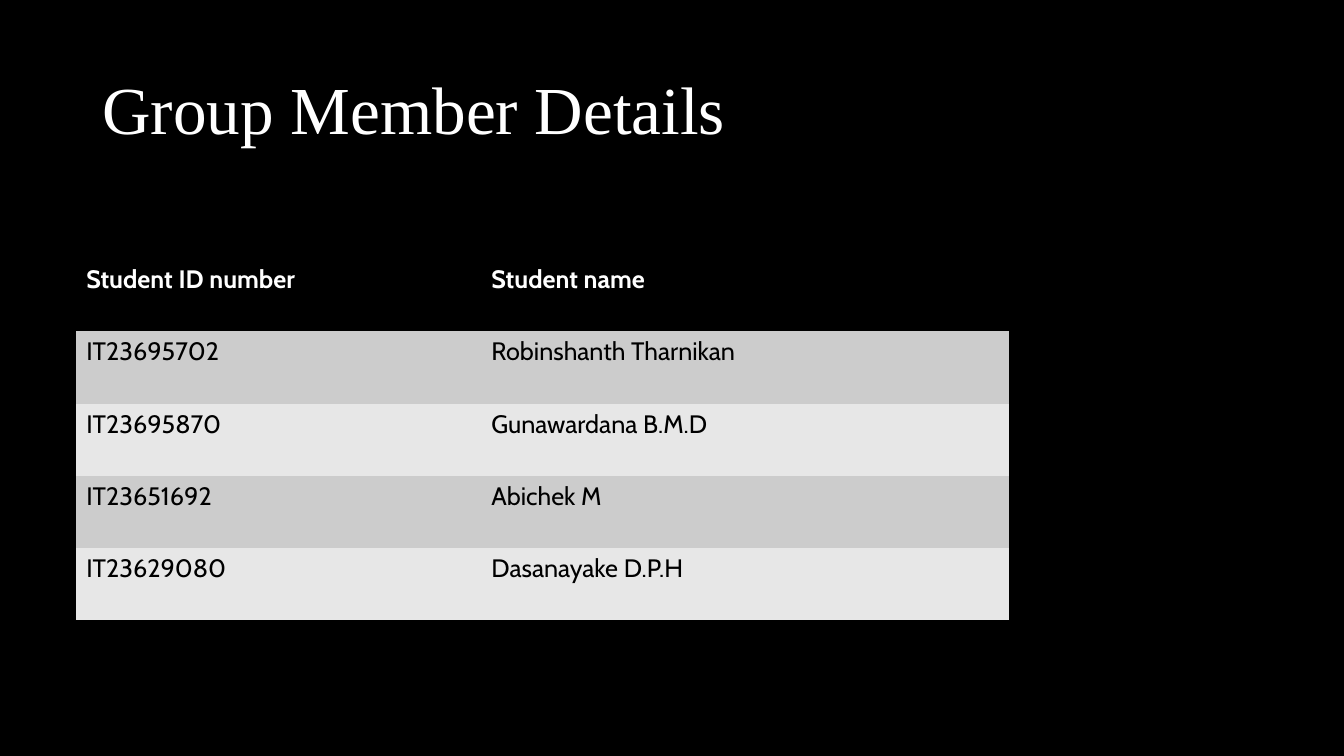
from pptx import Presentation
from pptx import util as u
from pptx.dml.color import RGBColor
from pptx.enum import text

# Content
HEADING = "Group Member Details"
MEMBERS = [
    ("Student ID number", "Student name"),
    ("IT23695702", "Robinshanth Tharnikan"),
    ("IT23695870", "Gunawardana B.M.D"),
    ("IT23651692", "Abichek M"),
    ("IT23629080", "Dasanayake D.P.H"),
]

# Format
COLOURS = {"black": "000000", "white": "FFFFFF", "dark": "CCCCCC", "light": "E7E7E7"}
HEADING_FONT = {"name": "Times New Roman", "size": u.Pt(48), "bold": False}
HEADER_FONT = {"name": "Cabin", "size": u.Pt(18), "bold": True}
MEMBER_FONT = {**HEADER_FONT, "bold": False}
COLUMN_WIDTHS = [u.Cm(10.21), u.Cm(13.31)]
ROW_HEIGHT = u.Cm(1.82)
PLAIN_TABLE_STYLE = "{2D5ABB26-0587-4C30-8999-92F81FD0307C}"


def colour(name):
    return RGBColor.from_string(COLOURS[name])


def write(frame, words, font_values, ink):
    paragraph = frame.paragraphs[0]
    run = paragraph.add_run()
    run.text = words
    for key, value in font_values.items():
        setattr(run.font, key, value)
    run.font.color.rgb = colour(ink)
    return paragraph


def main():
    deck = Presentation()
    deck.slide_width, deck.slide_height = u.Cm(33.87), u.Cm(19.05)
    slide = deck.slides.add_slide(deck.slide_layouts[6])
    slide.background.fill.solid()
    slide.background.fill.fore_color.rgb = colour("black")

    # Heading
    heading = slide.shapes.add_textbox(u.Cm(2.33), u.Cm(1.01), u.Cm(29.21), u.Cm(3.68))
    heading.text_frame.word_wrap = True
    heading.text_frame.vertical_anchor = text.MSO_ANCHOR.MIDDLE
    write(heading.text_frame, HEADING, HEADING_FONT, "white").line_spacing = 0.9

    # Member table
    members_frame = slide.shapes.add_table(
        len(MEMBERS), len(COLUMN_WIDTHS), u.Cm(1.92), u.Cm(6.53),
        sum(COLUMN_WIDTHS), ROW_HEIGHT * len(MEMBERS))
    members = members_frame.table
    members._tbl.tblPr.find("{*}tableStyleId").text = PLAIN_TABLE_STYLE
    for column, width in zip(members.columns, COLUMN_WIDTHS):
        column.width = width

    # Header row, then alternating bands
    for r, entry in enumerate(MEMBERS):
        members.rows[r].height = ROW_HEIGHT
        if r == 0:
            band, ink, font_values = "black", "white", HEADER_FONT
        else:
            band, ink, font_values = ("dark" if r % 2 else "light"), "black", MEMBER_FONT
        for c, words in enumerate(entry):
            cell = members.cell(r, c)
            cell.fill.solid()
            cell.fill.fore_color.rgb = colour(band)
            write(cell.text_frame, words, font_values, ink)

    deck.save("out.pptx")


if __name__ == "__main__":
    main()
